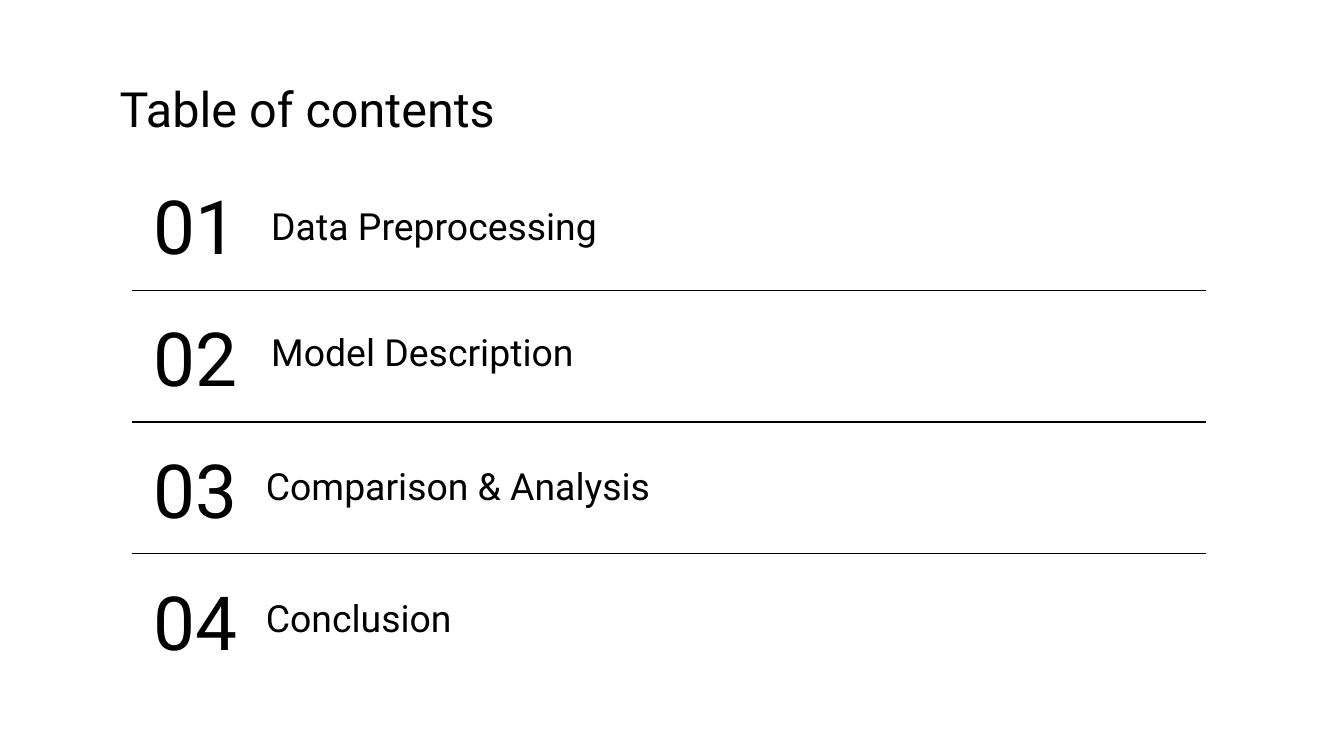
import pptx
import pptx.util
import pptx.dml.color
import pptx.enum.shapes
import pptx.enum.text
import pptx.oxml.ns
import lxml.etree

Inches = pptx.util.Inches
ALIGN = pptx.enum.text.PP_ALIGN
ANCHOR = pptx.enum.text.MSO_ANCHOR
INK = "000000"


def color(value):
    return pptx.dml.color.RGBColor.from_string(value)


def write_text(box, left, top, width, height, text, size,
               align=ALIGN.LEFT, anchor=ANCHOR.MIDDLE):
    box.left, box.top = Inches(left), Inches(top)
    box.width, box.height = Inches(width), Inches(height)
    frame = box.text_frame
    frame.word_wrap = True
    frame.auto_size = pptx.enum.text.MSO_AUTO_SIZE.NONE
    frame.vertical_anchor = anchor
    frame.margin_left = frame.margin_right = Inches(0.1)
    frame.margin_top = frame.margin_bottom = Inches(0.1)
    para = frame.paragraphs[0]
    para.alignment = align
    span = para.add_run()
    span.text = text
    span.font.name = "Roboto"
    span.font.size = pptx.util.Pt(size)
    span.font.color.rgb = color(INK)


# Widescreen page, 16:9
deck = pptx.Presentation()
deck.slide_width = Inches(10)
deck.slide_height = Inches(10 * 9 / 16)
page = deck.slides.add_slide(deck.slide_layouts[5])
page.background.fill.solid()
page.background.fill.fore_color.rgb = color("FFFFFF")

# Title
write_text(page.shapes.title, 0.79, 0.49, 8.43, 0.63, "Table of contents", 26,
           anchor=ANCHOR.TOP)

# Numbered entries: label, left, top, width, height
row_step = 0.98
entries = [
    ("Data Preprocessing", 1.92, 1.46, 4.24, 0.43),
    ("Model Description", 1.92, 2.4, 4.24, 0.43),
    ("Comparison & Analysis", 1.88, 3.34, 4.67, 0.54),
    ("Conclusion", 1.88, 4.38, 4.24, 0.43),
]
for row, (label, left, top, width, height) in enumerate(entries):
    number_box = page.shapes.add_textbox(0, 0, 0, 0)
    write_text(number_box, 1.03, 1.26 + row * row_step, 0.85, 0.83,
               f"{row + 1:02d}", 40, align=ALIGN.CENTER)
    label_box = page.shapes.add_textbox(0, 0, 0, 0)
    write_text(label_box, left, top, width, height, label, 20)

# Dividers between the entries
for row in range(len(entries) - 1):
    y = Inches(2.16 + row * row_step)
    divider = page.shapes.add_connector(
        pptx.enum.shapes.MSO_CONNECTOR.STRAIGHT, Inches(0.98), y, Inches(8.97), y)
    divider.line.color.rgb = color(INK)
    divider.line.width = pptx.util.Pt(0.75)
    lxml.etree.SubElement(divider._element.spPr, pptx.oxml.ns.qn("a:effectLst"))

deck.save("out.pptx")
